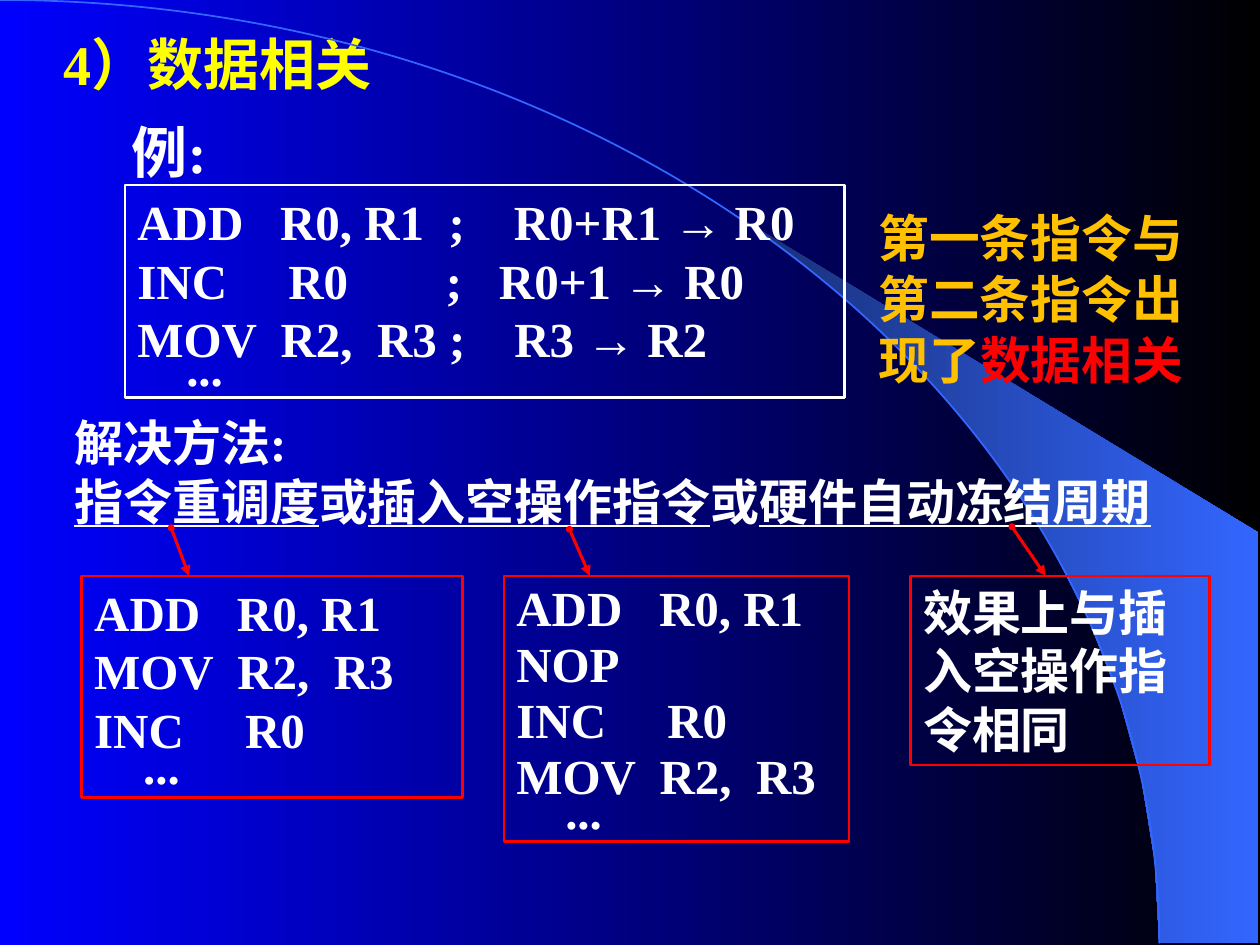
import math

from lxml import etree
from pptx import Presentation
from pptx.dml.color import RGBColor
from pptx.enum.shapes import MSO_CONNECTOR, MSO_SHAPE
from pptx.enum.text import MSO_ANCHOR, MSO_AUTO_SIZE, PP_ALIGN
from pptx.oxml.ns import qn
from pptx.util import Cm, Pt

RECTANGLE = MSO_SHAPE.RECTANGLE
STRAIGHT = MSO_CONNECTOR.STRAIGHT
TOP = MSO_ANCHOR.TOP
LEFT = PP_ALIGN.LEFT
NO_AUTOSIZE = MSO_AUTO_SIZE.NONE

FONT = "Times New Roman"
SANS_FONT = "Arial"
WHITE, RED, YELLOW, ORANGE = "FFFFFF", "FF0000", "FFFF00", "FFC000"
BLUE, BLACK, SKY, NAVY = "0000FF", "000000", "3366FF", "182F76"

# Quarter ellipse behind the text, in centimetres
ARC_WIDTH, ARC_HEIGHT = 23.37, 19.02
ROUNDNESS = 0.55  # Bezier handle length of a quarter ellipse
BOX_TOP = 11.61


def color(hex_value):
    return RGBColor.from_string(hex_value)


def set_gradient(fill, first, last):
    fill.gradient()
    fill.gradient_angle = 0
    for stop, hex_value in zip(fill.gradient_stops, (first, last)):
        stop.color.rgb = color(hex_value)


def add_outline(slide, points, close):
    builder = slide.shapes.build_freeform(*points[0])
    builder.add_line_segments(points[1:], close=close)
    shape = builder.convert_to_shape()
    shape.shadow.inherit = False
    return shape


def add_band(slide):
    """Crescent between the ellipse and the right edge."""
    angles = [math.radians(degree) for degree in range(40, 91, 5)]
    edge = [(Cm(ARC_WIDTH * math.sin(a)), Cm(ARC_HEIGHT * (1 - math.cos(a))))
            for a in angles]
    corners = [(Cm(25.37), Cm(ARC_HEIGHT)), (Cm(25.37), Cm(10.74))]
    band = add_outline(slide, edge + corners, True)
    set_gradient(band.fill, NAVY, SKY)
    band.line.fill.background()


def add_arc(slide):
    """Quarter ellipse drawn as one Bezier curve."""
    width, height = Cm(ARC_WIDTH), Cm(ARC_HEIGHT)
    arc = add_outline(slide, [(0, 0), (width, height)], False)
    segment = next(arc._element.iter(qn("a:lnTo")))
    segment.tag = qn("a:cubicBezTo")
    handles = ((int(width * ROUNDNESS), 0),
               (width, int(height * (1 - ROUNDNESS))))
    for index, (x, y) in enumerate(handles):
        point = etree.Element(qn("a:pt"), x=str(int(x)), y=str(int(y)))
        segment.insert(index, point)
    arc.fill.background()
    arc.line.color.rgb = color(SKY)
    arc.line.width = Pt(1)


def format_run(run, style):
    if "color" in style:
        run.font.color.rgb = color(style["color"])
    if "font" in style:
        run.font.name = style["font"]
    if "underline" in style:
        run.font.underline = style["underline"]


def write_text(shape, lines, size=28, hex_value=WHITE, spacing=None):
    """Fill a shape; each line is a list of (text, style) runs."""
    frame = shape.text_frame
    frame.word_wrap = True
    frame.auto_size = NO_AUTOSIZE
    frame.vertical_anchor = TOP
    for index, runs in enumerate(lines):
        paragraph = frame.paragraphs[0] if index == 0 else frame.add_paragraph()
        paragraph.alignment = LEFT
        if spacing:
            paragraph.line_spacing = spacing[index]
        font = paragraph.font
        font.size, font.bold, font.name = Pt(size), True, FONT
        font.color.rgb = color(hex_value)
        # East Asian characters are sans serif
        latin = font._element.find(qn("a:latin"))
        latin.addnext(etree.Element(qn("a:ea"), typeface=SANS_FONT))
        for text, style in runs:
            run = paragraph.add_run()
            run.text = text
            format_run(run, style)


def plain(*lines):
    return [[(line, {})] for line in lines]


def transfer(before, after):
    """A code line whose comment holds an arrow."""
    return [(before, {}), ("→", {"font": SANS_FONT}), (after, {})]


def add_title(slide, text):
    title = slide.shapes.title
    title.left, title.top = Cm(1.02), Cm(0.46)
    title.width, title.height = Cm(7.44), Cm(1.63)
    write_text(title, plain(text), 32, YELLOW)


def add_label(slide, place, lines, **style):
    write_text(slide.shapes.add_textbox(*map(Cm, place)), lines, **style)


def add_box(slide, place, lines, line_color=RED, spacing=None):
    box = slide.shapes.add_shape(RECTANGLE, *map(Cm, place))
    box.shadow.inherit = False
    box.fill.background()
    box.line.color.rgb = color(line_color)
    box.line.width = Pt(1.5)
    write_text(box, lines, spacing=spacing)


def add_pointer(slide, start_x, start_y, end_x):
    connector = slide.shapes.add_connector(
        STRAIGHT, Cm(start_x), Cm(start_y), Cm(end_x), Cm(BOX_TOP))
    connector.line.color.rgb = color(RED)
    connector.line.width = Pt(1.75)
    line = connector.line._get_or_add_ln()
    etree.SubElement(line, qn("a:headEnd"), type="oval", w="sm", len="sm")
    etree.SubElement(line, qn("a:tailEnd"), type="triangle")
    etree.SubElement(connector._element.spPr, qn("a:effectLst"))


def main():
    presentation = Presentation()
    presentation.slide_width, presentation.slide_height = Cm(25.4), Cm(19.05)
    slide = presentation.slides.add_slide(presentation.slide_layouts[5])

    # Backdrop and title
    set_gradient(slide.background.fill, BLUE, BLACK)
    add_band(slide)
    add_arc(slide)
    add_title(slide, "4）数据相关")

    # Example with its dependence
    add_label(slide, (2.41, 2.24, 5.97, 1.63), plain("例:"), size=32)
    add_box(slide, (2.52, 3.73, 14.5, 4.29), [
        transfer("ADD   R0, R1  ;    R0+R1 ", " R0"),
        transfer("INC     R0        ;   R0+1 ", " R0"),
        transfer("MOV  R2,  R3 ;    R3 ", " R2"),
        *plain("    ..."),
    ], WHITE, (1, 1, 1, 0.4))
    add_label(slide, (17.46, 4.04, 7.16, 3.94), [
        [("第一条指令与第二条指令出现了", {}), ("数据相关", {"color": RED})],
    ], size=29, hex_value=ORANGE)

    # Solutions
    underlined = {"underline": True}
    add_label(slide, (1.25, 8.14, 24.38, 2.69), [
        *plain("解决方法:"),
        [("指令重调度", underlined), ("或", {}),
         ("插入空操作指令", underlined), ("或", {}),
         ("硬件自动冻结周期", underlined)],
    ], spacing=(1.05, 1))

    # Result of each solution
    add_box(slide, (1.65, BOX_TOP, 7.67, 4.47),
            plain("ADD   R0, R1", "MOV  R2,  R3", "INC     R0", "    ..."),
            spacing=(1, 1, 1, 0.55))
    add_box(slide, (10.16, BOX_TOP, 6.96, 5.36),
            plain("ADD   R0, R1", "NOP", "INC     R0", "MOV  R2,  R3",
                  "    ..."),
            spacing=(0.95, 0.95, 0.95, 0.95, 0.5))
    add_box(slide, (18.36, BOX_TOP, 6.02, 3.81),
            plain("效果上与插入空操作指令相同"))
    for start_x, start_y, end_x in ((3.45, 10.64, 3.81),
                                    (11.48, 10.67, 11.89),
                                    (20.4, 10.62, 21.08)):
        add_pointer(slide, start_x, start_y, end_x)

    presentation.save("out.pptx")


if __name__ == "__main__":
    main()
